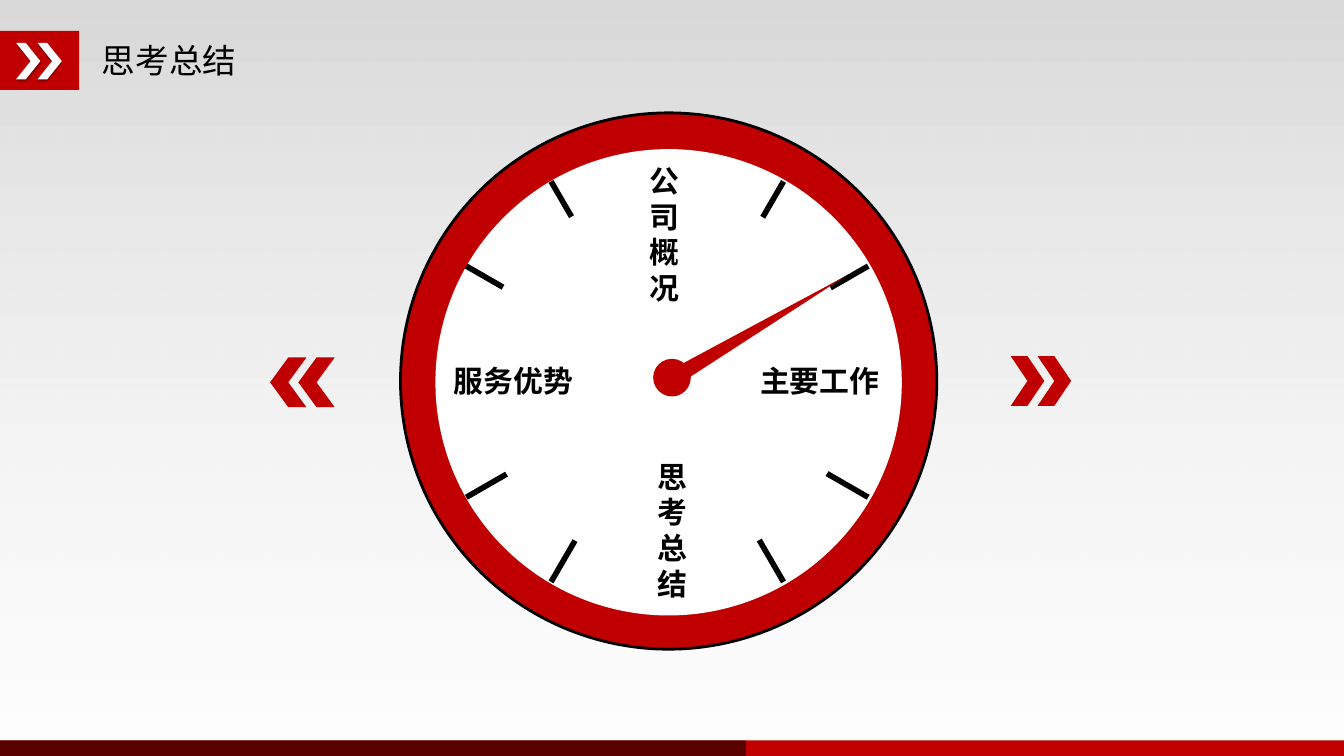
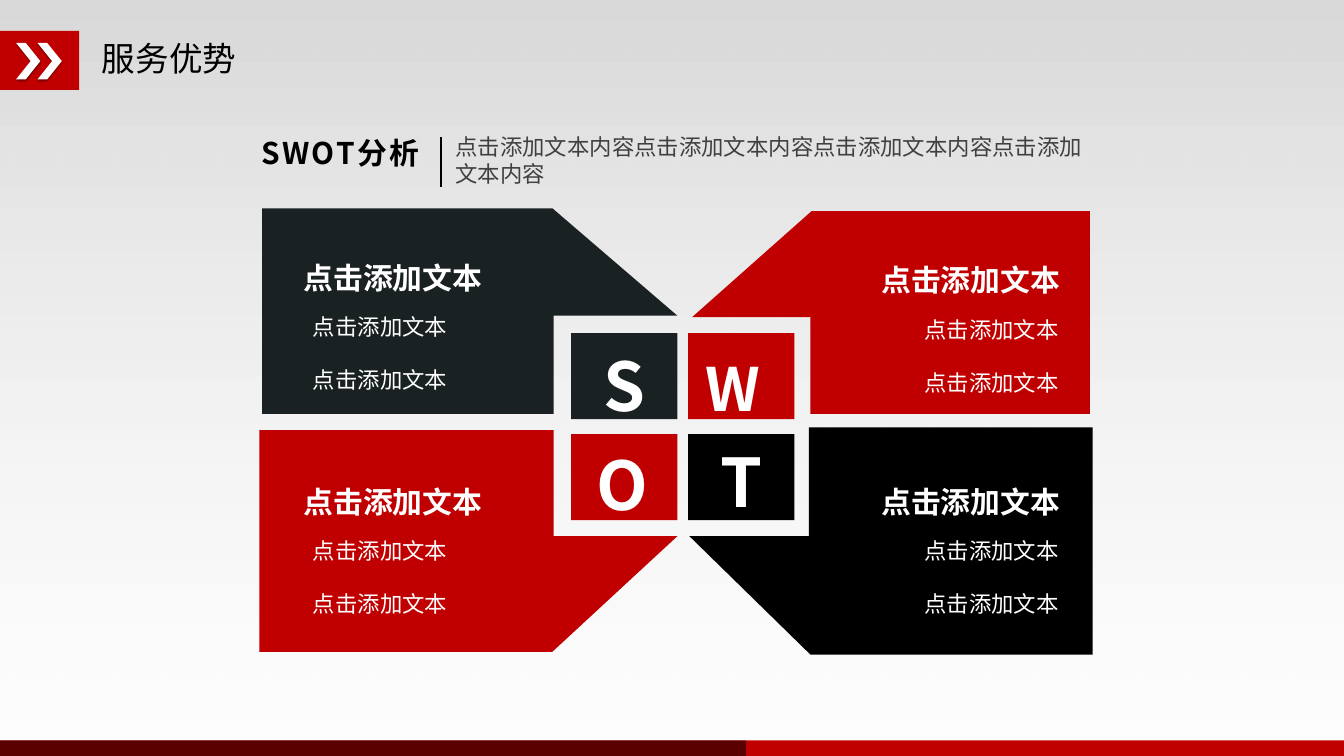
from math import cos, radians, sin

from lxml.etree import SubElement
from pptx import Presentation
from pptx.dml.color import RGBColor
from pptx.enum.shapes import MSO_CONNECTOR, MSO_SHAPE
from pptx.enum.text import MSO_AUTO_SIZE, PP_ALIGN
from pptx.oxml.ns import qn
from pptx.util import Pt

PX = 9144  # EMU per px, 100 px to the inch
FONT = "Noto Sans CJK SC"
COLORS = {
    "red": "C00000", "black": "000000", "white": "FFFFFF", "slate": "1A2123",
    "gray": "404040", "bg_top": "D9D9D9", "bg_bottom": "F2F2F2",
}


def rgb(name):
    return RGBColor.from_string(COLORS[name])


def set_opacity(color_element, percent):
    SubElement(color_element, qn("a:alpha"), val=str(percent * 1000))


class Deck:
    """Holds the presentation, its style and the slide being drawn."""

    def __init__(self, width):
        self.prs = Presentation()
        self.prs.slide_width = width * PX
        self.prs.slide_height = width * PX * 9 // 16
        self.slide = None

    def new_slide(self, title, title_top):
        self.slide = self.prs.slides.add_slide(self.prs.slide_layouts[6])
        self.background()
        self.shape(MSO_SHAPE.RECTANGLE, (-2, 551, 1002, 14), "red")
        shade = self.shape(MSO_SHAPE.RECTANGLE, (-2, 551, 557, 14), "black")
        set_opacity(next(shade._element.spPr.iter(qn("a:srgbClr"))), 52)
        self.shape(MSO_SHAPE.RECTANGLE, (-2, 23, 61, 44), "red")
        for left in (12, 28):
            sp = self.shape(MSO_SHAPE.CHEVRON, (left, 32, 18, 27), "white")
            sp.adjustments[0] = 0.6
            self.drop_shadow(sp)
        self.text((66, title_top, 121, 40), title, 18, wrap=False)

    def background(self):
        """Cover the slide with a gradient that fades out downwards."""
        sp = self.shape(MSO_SHAPE.RECTANGLE, (0, 0, 0, 0), "white")
        sp.width, sp.height = self.prs.slide_width, self.prs.slide_height
        sp.fill.gradient()
        sp.fill.gradient_angle = 90
        for stop, name in zip(sp.fill.gradient_stops, ("bg_bottom", "bg_top")):
            stop.color.rgb = rgb(name)
        set_opacity(next(sp._element.spPr.iter(qn("a:srgbClr"))), 11)

    def drop_shadow(self, sp):
        effects = sp._element.spPr.find(qn("a:effectLst"))
        shadow = SubElement(effects, qn("a:outerShdw"), blurRad="12700",
                            dist="12700", dir="5400000", rotWithShape="0")
        set_opacity(SubElement(shadow, qn("a:srgbClr"), val=COLORS["black"]), 40)

    def paint(self, sp, fill, line=None, width=1.5):
        sp.shadow.inherit = False
        sp.fill.solid()
        sp.fill.fore_color.rgb = rgb(fill)
        if line:
            sp.line.color.rgb = rgb(line)
            sp.line.width = Pt(width)
        else:
            sp.line.fill.background()
        return sp

    def shape(self, kind, box, fill, line=None):
        sp = self.slide.shapes.add_shape(kind, *(v * PX for v in box))
        return self.paint(sp, fill, line)

    def polygon(self, points, fill):
        builder = self.slide.shapes.build_freeform(*points[0], scale=PX)
        builder.add_line_segments(points[1:], close=True)
        return self.paint(builder.convert_to_shape(), fill)

    def line(self, start, end, width):
        ln = self.slide.shapes.add_connector(
            MSO_CONNECTOR.STRAIGHT, *(round(v) * PX for v in (*start, *end)))
        ln.line.color.rgb = rgb("black")
        ln.line.width = Pt(width)
        SubElement(ln._element.spPr, qn("a:effectLst"))

    def text(self, box, text, size, color="black", bold=False, wrap=True,
             align=PP_ALIGN.LEFT, gap=0, tracking=0):
        """Write one paragraph per line of text, with gap points between them."""
        sp = self.slide.shapes.add_textbox(*(v * PX for v in box))
        tf = sp.text_frame
        tf.text = text
        tf.word_wrap = wrap
        tf.auto_size = MSO_AUTO_SIZE.SHAPE_TO_FIT_TEXT
        for i, p in enumerate(tf.paragraphs):
            p.alignment = align
            if i and gap:
                p.space_before = Pt(gap)
            for r in p.runs:
                r.font.size, r.font.bold, r.font.name = Pt(size), bold, FONT
                r.font.color.rgb = rgb(color)
                rPr = r._r.get_or_add_rPr()
                SubElement(rPr, qn("a:ea"), typeface=FONT)
                if tracking:
                    rPr.set("spc", str(tracking))


def dial_slide(deck):
    deck.new_slide("思考总结", 25)
    deck.shape(MSO_SHAPE.OVAL, (298, 84, 399, 399), "red", "black")
    deck.shape(MSO_SHAPE.OVAL, (324, 111, 347, 347), "white")
    cx, cy, radius = 496.5, 284, 172.5
    for angle in (30, 60, 120, 150):
        dx, dy = radius * cos(radians(angle)), radius * sin(radians(angle))
        deck.line((cx + dx, cy - dy), (cx - dx, cy + dy), 3)
    deck.shape(MSO_SHAPE.OVAL, (357, 142, 278, 278), "white")
    deck.shape(MSO_SHAPE.OVAL, (486, 267, 28, 28), "red")
    deck.polygon([(502, 288), (496, 277), (630, 205)], "red")
    for left in (222, 201):
        deck.shape(MSO_SHAPE.CHEVRON, (left, 266, 27, 37), "red").rotation = 180
    for left in (752, 772):
        deck.shape(MSO_SHAPE.CHEVRON, (left, 265, 25, 37), "red")
    labels = [
        ("公司概况", (472, 116, 44, 118), True),
        ("主要工作", (555, 265, 110, 37), False),
        ("思考总结", (476, 336, 49, 118), True),
        ("服务优势", (327, 265, 110, 37), False),
    ]
    for label, box, stacked in labels:
        deck.text(box, label, 16, bold=True, wrap=stacked, align=PP_ALIGN.CENTER)


def swot_slide(deck):
    deck.new_slide("服务优势", 23)
    letters = [
        ("S", 36, "slate", (439, 251, 51, 71)),
        ("W", 32, "red", (515, 257, 69, 64)),
        ("O", 36, "red", (434, 325, 62, 71)),
        ("T", 36, "black", (526, 323, 52, 71)),
    ]
    for i, (letter, size, fill, box) in enumerate(letters):
        row, col = divmod(i, 2)
        deck.shape(MSO_SHAPE.RECTANGLE, (425 + 87 * col, 248 + 75 * row, 79, 64), fill)
        deck.text(box, letter, size, "white", bold=True, wrap=False)

    # Fill, heading left and top, body left, then the outline
    panels = [
        ("slate", 216, 188, 223,
         [(411, 155), (195, 155), (195, 308), (412, 308), (412, 235), (504, 235)]),
        ("red", 216, 355, 223,
         [(411, 485), (193, 485), (193, 320), (412, 320), (412, 399), (504, 399)]),
        ("black", 646, 355, 678,
         [(603, 487), (813, 487), (813, 318), (602, 318), (602, 399), (513, 399)]),
        ("red", 646, 190, 678,
         [(604, 157), (811, 157), (811, 308), (603, 308), (603, 236), (515, 236)]),
    ]
    for fill, head_left, top, body_left, outline in panels:
        deck.polygon(outline, fill)
        deck.text((body_left, top + 40, 125, 51), "点击添加文本\n点击添加文本", 12,
                  "white", gap=14)
        deck.text((head_left, top, 159, 37), "点击添加文本", 16, "white", bold=True)

    deck.text((329, 94, 501, 51), "点击添加文本内容" * 4, 12, "gray")
    deck.text((185, 95, 144, 37), "SWOT分析", 16, bold=True, wrap=False, tracking=120)
    deck.line((328, 102), (328, 139), 0.75)


def main():
    deck = Deck(1000)
    dial_slide(deck)
    swot_slide(deck)
    deck.prs.save("out.pptx")


if __name__ == "__main__":
    main()
